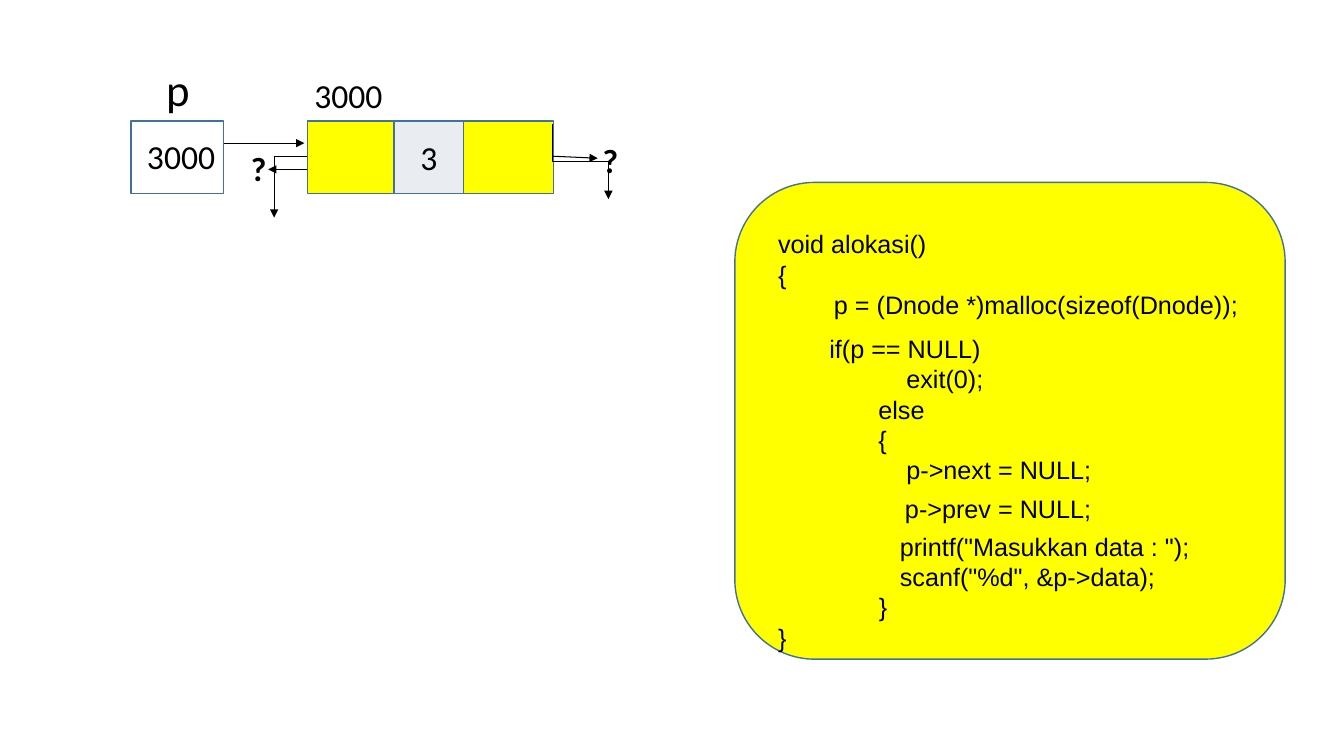
from lxml import etree
from pptx import Presentation
from pptx import util as u
from pptx.dml.color import RGBColor
from pptx.enum import shapes, text
from pptx.oxml.ns import qn

COLORS = {"node": "FFFF00", "data": "E9EDF1", "pointer": "FFFFFF",
          "border": "42719B", "ink": "000000"}
GRID = u.Inches(0.1)  # one column or row of the slide grid
COLS, ROWS = 133.33, 75
NODE_TOP, NODE_ROWS = 12, 7.2
SPACE, TAB = 5, 72  # code indents in points


def grid(*cells):
    return [round(c * GRID) for c in cells]


def rgb(name):
    return RGBColor.from_string(COLORS[name])


def write(tf, lines, size, font, bold=False, align=None):
    """Put (indent, words) lines in a text frame, one paragraph each."""
    tf.word_wrap = True
    for i, (indent, words) in enumerate(lines):
        p = tf.paragraphs[0] if i == 0 else tf.add_paragraph()
        p.alignment = align
        if indent:
            p._p.get_or_add_pPr().set("marL", str(u.Pt(indent)))
        r = p.add_run()
        r.text = words
        r.font.size, r.font.name, r.font.bold = u.Pt(size), font, bold
        r.font.color.rgb = rgb("ink")


def box(slide, cells, fill, words=None, kind=shapes.MSO_SHAPE.RECTANGLE):
    sp = slide.shapes.add_shape(kind, *grid(*cells))
    sp.shadow.inherit = False
    sp.fill.solid()
    sp.fill.fore_color.rgb = rgb(fill)
    sp.line.color.rgb = rgb("border")
    sp.line.width = u.Pt(1)
    if words:
        sp.text_frame.vertical_anchor = text.MSO_ANCHOR.MIDDLE
        write(sp.text_frame, [(0, words)], 24, "Calibri",
              align=text.PP_ALIGN.CENTER)
    return sp


def label(slide, cells, words, size=24, bold=False):
    sp = slide.shapes.add_textbox(*grid(*cells))
    write(sp.text_frame, [(0, words)], size, "Calibri", bold)


def code(slide, cells, lines):
    sp = slide.shapes.add_textbox(*grid(*cells))
    write(sp.text_frame, lines, 18, "Arial")


def arrow(slide, cells, preset="line", turn=0):
    """Arrow from the first point to the second, turned in degrees."""
    c = slide.shapes.add_connector(shapes.MSO_CONNECTOR.STRAIGHT, *grid(*cells))
    c.line.color.rgb = rgb("ink")
    c.line.width = u.Pt(0.75)
    spPr = c._element.spPr
    spPr.find(qn("a:prstGeom")).set("prst", preset)
    if turn:
        spPr.find(qn("a:xfrm")).set("rot", str(turn * 60000))
    etree.SubElement(c.line._get_or_add_ln(), qn("a:tailEnd"), type="triangle")
    etree.SubElement(spPr, qn("a:effectLst"))


def draw_node(slide):
    # Node with prev, data and next fields
    box(slide, (30.5, NODE_TOP, 24.4, NODE_ROWS), "node")
    box(slide, (39.1, NODE_TOP, 6.9, NODE_ROWS), "data", "3")
    label(slide, (30.2, 6.9, 10.1, 5), "3000")

    # Pointer p
    label(slide, (15.5, 5.6, 4.3, 6.4), "p", 32)
    box(slide, (13, NODE_TOP, 9.2, NODE_ROWS), "pointer")
    label(slide, (13.6, 13, 10.1, 5), "3000")
    arrow(slide, (22.2, 14.2, 30.2, 14.2))

    # Unknown targets of next and prev
    arrow(slide, (54.9, 15.5, 59.3, 15.7))
    arrow(slide, (30.5, 16.8, 26.6, 16.8))
    for left, top in ((58.8, 13.4), (23.9, 14.2)):
        label(slide, (left, top, 3.3, 5), "?", bold=True)
    arrow(slide, (61.3, 13.3, 53.9, 18.8), "bentConnector3", 270)
    arrow(slide, (30.5, 15.5, 27.2, 21.6), "bentConnector2")


def draw_code(slide):
    # Panel behind the function
    panel = box(slide, (72.9, 18.1, 54.6, 47.3), "node",
                kind=shapes.MSO_SHAPE.ROUNDED_RECTANGLE)
    panel.adjustments[0] = 0.167

    # Function text
    code(slide, (76.2, 22.2, 48, 16.2), [
        (0, "void alokasi()"),
        (0, "{"),
        (8 * SPACE, "p = (Dnode *)malloc(sizeof(Dnode));")])
    code(slide, (80.6, 32.6, 28.9, 28.9), [
        (SPACE, "if(p == NULL)"),
        (12 * SPACE, "exit(0);"),
        (8 * SPACE, "else"),
        (8 * SPACE, "{"),
        (12 * SPACE, "p->next = NULL;")])
    code(slide, (88.8, 48.4, 20.7, 7.1), [(0, "p->prev = NULL;")])
    code(slide, (76.2, 52.2, 43.2, 16.2), [
        (TAB + 3 * SPACE, "printf(\"Masukkan data : \");"),
        (TAB + 3 * SPACE, "scanf(\"%d\", &p->data);"),
        (TAB, "}"),
        (0, "}")])


def main():
    prs = Presentation()
    prs.slide_width, prs.slide_height = grid(COLS, ROWS)
    slide = prs.slides.add_slide(prs.slide_layouts[6])
    draw_node(slide)
    draw_code(slide)
    prs.save("out.pptx")


if __name__ == "__main__":
    main()
